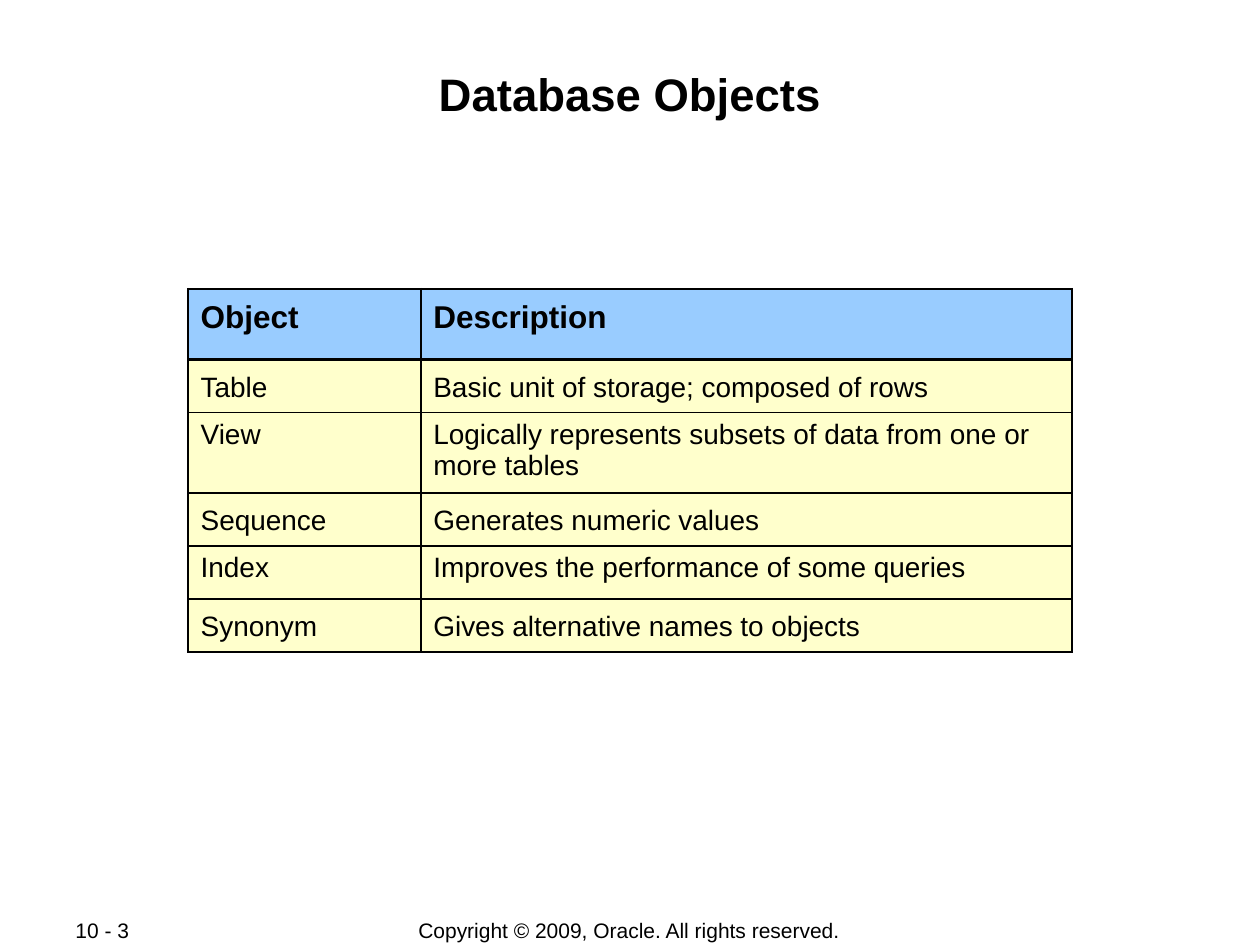
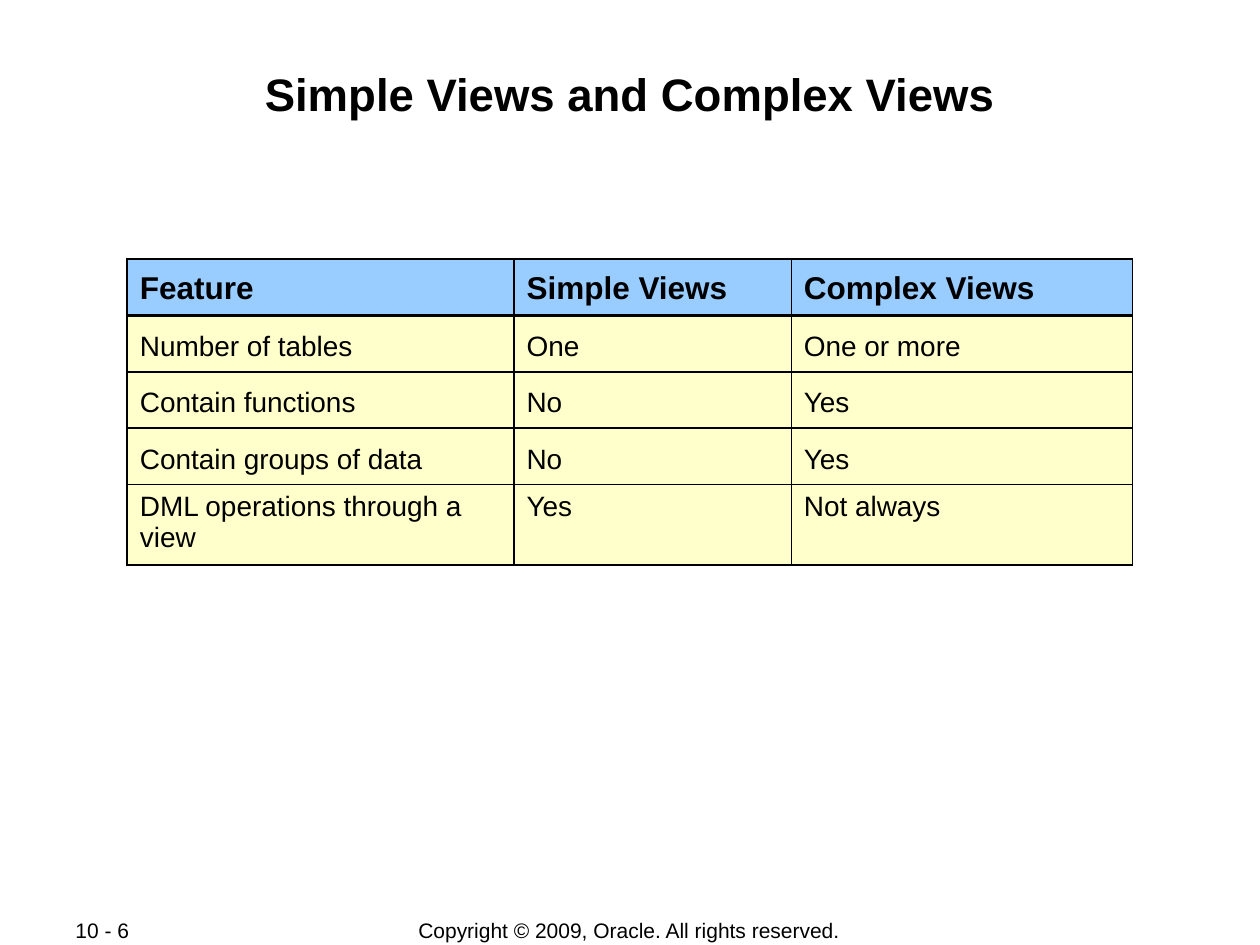
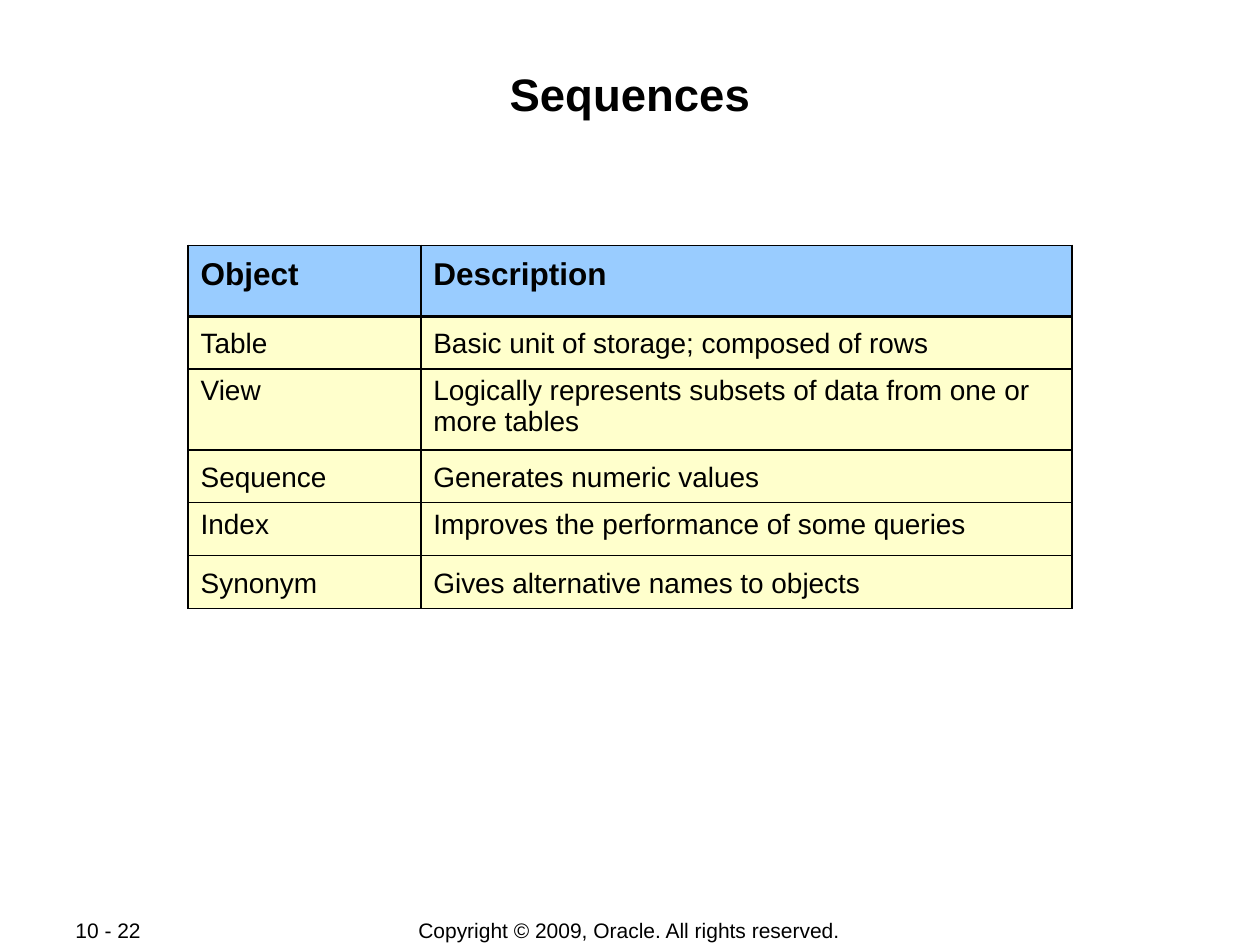
from lxml import etree
from pptx import Presentation
from pptx.dml.color import RGBColor
from pptx.enum.text import MSO_ANCHOR as Anchor, PP_ALIGN as Align
from pptx.oxml.ns import qn
from pptx.util import Pt

FONT = "Arial"
INK, HEAD, BODY = "000000", "99CCFF", "FFFFCC"
THIN, THICK = 1.08, 2.21
TITLE_BOX = (48, 34.5, 624, 69)
PAGE_BOX = (36, 524, 76, 15)
NOTE_BOX = (198, 524, 323, 15)
NOTE = "Copyright © 2009, Oracle. All rights reserved."

OBJECTS = [
    (40.5, 1.15, "Object", "Description"),
    (30.25, 1.2, "Table", "Basic unit of storage; composed of rows"),
    (46, 1, "View", "Logically represents subsets of data from one or more tables"),
    (30.25, 1.2, "Sequence", "Generates numeric values"),
    (30.25, 1, "Index", "Improves the performance of some queries"),
    (30.25, 1.2, "Synonym", "Gives alternative names to objects"),
]
VIEWS = [
    (32.25, 1.15, "Feature", "Simple Views", "Complex Views"),
    (32.25, 1.3, "Number of tables", "One", "One or more"),
    (32.25, 1.3, "Contain functions", "No", "Yes"),
    (32.25, 1.3, "Contain groups of data", "No", "Yes"),
    (46, 1, "DML operations through a view", "Yes", "Not always"),
]
OBJECT_COLS = (133, 372)
VIEW_COLS = (221, 158.5, 195)

SLIDES = [
    ("Database Objects", "10 - 3", (107.5, 165), OBJECT_COLS, OBJECTS),
    ("Simple Views and Complex Views", "10 - 6", (72.75, 148), VIEW_COLS, VIEWS),
    ("Sequences", "10 - 22", (107.5, 140.25), OBJECT_COLS, OBJECTS),
]


def color(code):
    return RGBColor.from_string(code)


def write(frame, text, size, bold=False, align=Align.LEFT, lead=1):
    frame.text = text
    line = frame.paragraphs[0]
    line.alignment = align
    line.line_spacing = lead
    line.space_before = line.space_after = Pt(0)
    for run in line.runs:
        font = run.font
        font.name, font.size, font.bold = FONT, Pt(size), bold
        font.color.rgb = color(INK)


def add_title(slide, box, text):
    title = slide.shapes.title
    title.left, title.top, title.width, title.height = map(Pt, box)
    frame = title.text_frame
    frame.vertical_anchor = Anchor.TOP
    frame.word_wrap = True
    frame.margin_left = frame.margin_right = frame.margin_bottom = Pt(0.75)
    frame.margin_top = Pt(3.5)
    write(frame, text, 26, True, Align.CENTER)


def add_label(slide, box, text, align):
    frame = slide.shapes.add_textbox(*map(Pt, box)).text_frame
    frame.word_wrap = True
    frame.vertical_anchor = Anchor.MIDDLE
    frame.margin_top = frame.margin_bottom = Pt(0)
    write(frame, text, 12, align=align)


def add_edges(cell, top, base):
    props = cell._tc.get_or_add_tcPr()
    edges = (("L", THIN), ("R", THIN), ("T", top), ("B", base))
    for place, (side, width) in enumerate(edges):
        edge = etree.Element(qn(f"a:ln{side}"), w=str(Pt(width)))
        fill = etree.SubElement(edge, qn("a:solidFill"))
        etree.SubElement(fill, qn("a:srgbClr"), val=INK)
        props.insert(place, edge)


def add_grid(slide, spot, cols, rows):
    size = (sum(cols), sum(row[0] for row in rows))
    frame = slide.shapes.add_table(len(rows), len(cols), *map(Pt, spot + size))
    table = frame.table
    table.horz_banding = False
    for col, width in zip(table.columns, cols):
        col.width = Pt(width)
    for r, (height, lead, *texts) in enumerate(rows):
        table.rows[r].height = Pt(height)
        head = r == 0
        for c, text in enumerate(texts):
            cell = table.cell(r, c)
            cell.fill.solid()
            cell.fill.fore_color.rgb = color(HEAD if head else BODY)
            write(cell.text_frame, text, 18 if head else 16, head, lead=lead)
            add_edges(cell, THICK if r == 1 else THIN, THICK if head else THIN)


def add_slide(deck, title, page, spot, cols, rows):
    slide = deck.slides.add_slide(deck.slide_layouts[5])
    add_label(slide, NOTE_BOX, NOTE, Align.CENTER)
    add_label(slide, PAGE_BOX, page, Align.LEFT)
    add_title(slide, TITLE_BOX, title)
    add_grid(slide, spot, cols, rows)


def main():
    deck = Presentation()
    deck.slide_width, deck.slide_height = Pt(720), Pt(540)
    for parts in SLIDES:
        add_slide(deck, *parts)
    deck.save("out.pptx")


if __name__ == "__main__":
    main()
